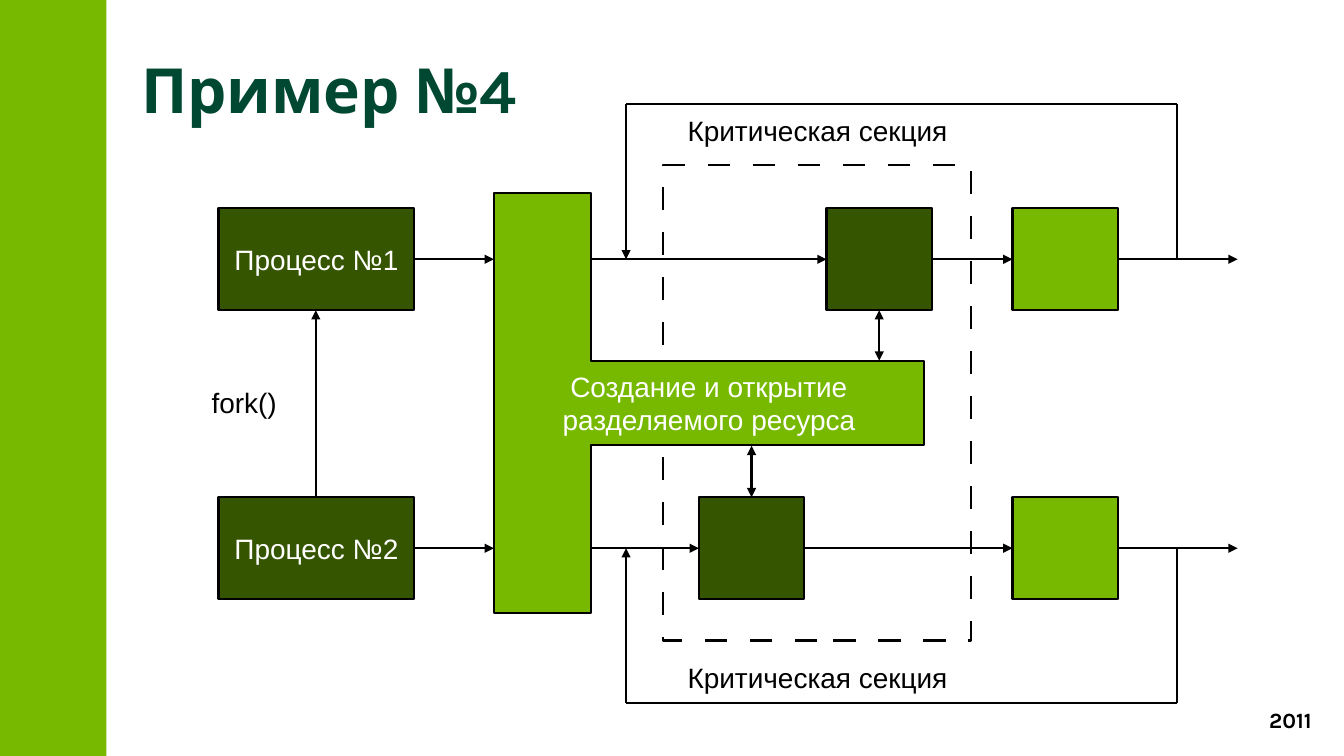
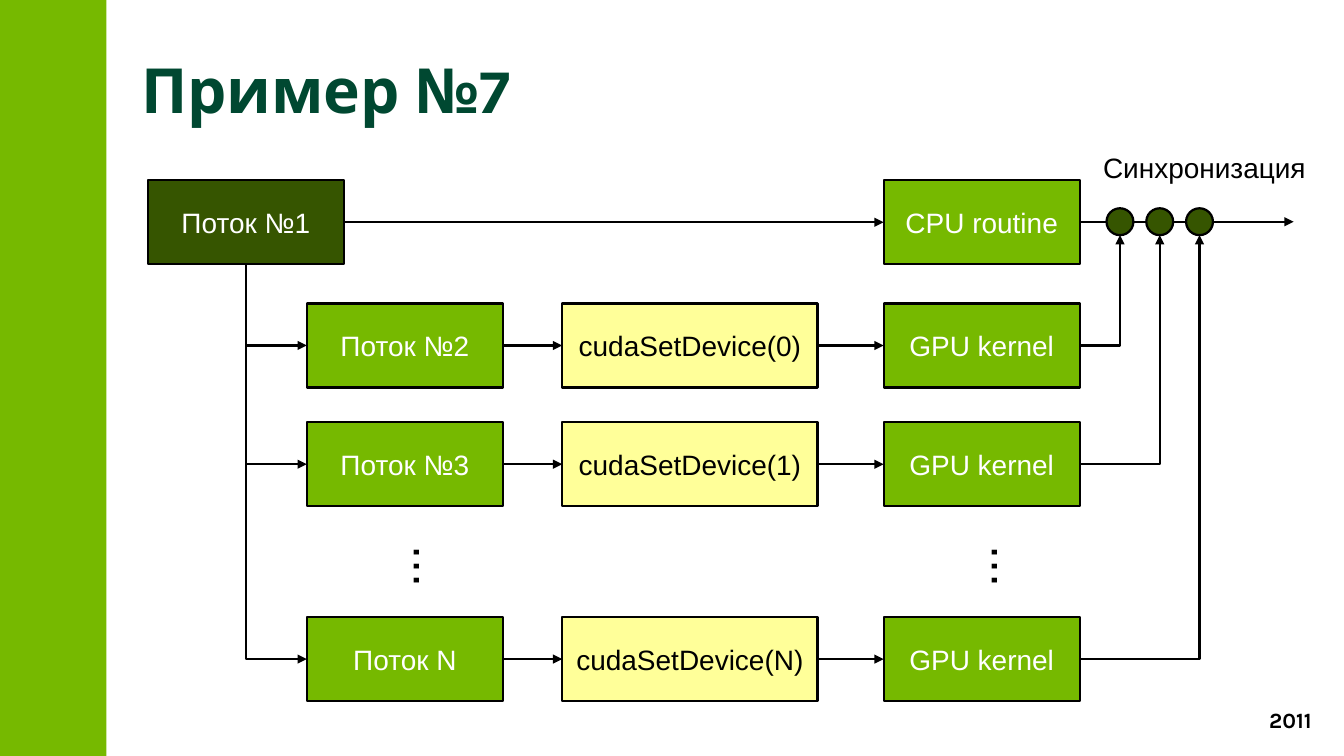
from dataclasses import dataclass

from lxml import etree
from pptx import Presentation
from pptx.dml.color import RGBColor
from pptx.enum import shapes, text
from pptx.oxml import ns
from pptx.util import Inches, Pt

GREEN = RGBColor(0x76, 0xB9, 0x00)
DARK_GREEN = RGBColor(0x36, 0x55, 0x00)
YELLOW = RGBColor(0xFF, 0xFF, 0x99)
TITLE_GREEN = RGBColor(0x00, 0x48, 0x31)
BLACK = RGBColor(0x00, 0x00, 0x00)
WHITE = RGBColor(0xFF, 0xFF, 0xFF)

TITLE_FONT = "Karla"
BODY_FONT = "Arial"
STROKE = Pt(1.45)
TOP, LEFT, BOTTOM, RIGHT = range(4)
OVAL_BOTTOM = "4"


@dataclass
class Block:
    left: float
    top: float
    width: float
    height: float
    fill: RGBColor | None = GREEN
    caption: str = ""
    ink: RGBColor = WHITE
    kind: shapes.MSO_SHAPE = shapes.MSO_SHAPE.RECTANGLE


@dataclass
class Note:
    left: float
    top: float
    width: float
    height: float
    caption: str
    size: int = 18
    font: str = BODY_FONT
    bold: bool = False
    align: text.PP_ALIGN = text.PP_ALIGN.LEFT
    wrap: bool = False
    turn: int = 0


@dataclass
class Line:
    x1: float
    y1: float
    x2: float
    y2: float
    head: bool = False
    tail: bool = True


# Shared drawing functions
def style_font(para, size: int, color: RGBColor, name: str = BODY_FONT, bold: bool = False) -> None:
    para.font.size = Pt(size)
    para.font.name = name
    para.font.bold = bold
    para.font.color.rgb = color


def style_shape(shape, fill: RGBColor | None, caption: str, ink: RGBColor) -> None:
    shape.shadow.inherit = False
    if fill is None:
        shape.fill.background()
    else:
        shape.fill.solid()
        shape.fill.fore_color.rgb = fill
    shape.line.color.rgb = BLACK
    shape.line.width = STROKE
    if not caption:
        return
    frame = shape.text_frame
    frame.text = caption
    frame.word_wrap = True
    frame.vertical_anchor = text.MSO_ANCHOR.MIDDLE
    frame.margin_left = frame.margin_right = Inches(0.11)
    frame.margin_top = frame.margin_bottom = Inches(0.06)
    for para in frame.paragraphs:
        para.alignment = text.PP_ALIGN.CENTER
        style_font(para, 18, ink)


def draw_block(page, block: Block):
    shape = page.shapes.add_shape(block.kind, Inches(block.left), Inches(block.top),
                                  Inches(block.width), Inches(block.height))
    style_shape(shape, block.fill, block.caption, block.ink)
    return shape


def draw_note(page, note: Note):
    box = page.shapes.add_textbox(Inches(note.left), Inches(note.top),
                                  Inches(note.width), Inches(note.height))
    box.rotation = note.turn
    frame = box.text_frame
    frame.word_wrap = note.wrap
    frame.auto_size = text.MSO_AUTO_SIZE.SHAPE_TO_FIT_TEXT
    frame.text = note.caption
    para = frame.paragraphs[0]
    para.alignment = note.align
    style_font(para, note.size, BLACK, note.font, note.bold)
    return box


def style_connector(link, head: bool, tail: bool) -> None:
    link.line.color.rgb = BLACK
    link.line.width = STROKE
    outline = link.line._get_or_add_ln()
    for tag, wanted in (("a:headEnd", head), ("a:tailEnd", tail)):
        if wanted:
            etree.SubElement(outline, ns.qn(tag), type="triangle")
    etree.SubElement(link._element.spPr, ns.qn("a:effectLst"))


def draw_line(page, line: Line) -> None:
    link = page.shapes.add_connector(shapes.MSO_CONNECTOR.STRAIGHT, Inches(line.x1), Inches(line.y1),
                                     Inches(line.x2), Inches(line.y2))
    style_connector(link, line.head, line.tail)


def join(page, start, start_side: int, end, end_side: int, bent: bool = False, arrow_at_start: bool = False):
    """Glue a straight or one-corner connector to two shapes."""
    kind = shapes.MSO_CONNECTOR.ELBOW if bent else shapes.MSO_CONNECTOR.STRAIGHT
    link = page.shapes.add_connector(kind, 0, 0, 0, 0)
    link.begin_connect(start, start_side)
    link.end_connect(end, end_side)
    if bent:
        link._element.spPr.find(ns.qn("a:prstGeom")).set("prst", "bentConnector2")
    style_connector(link, arrow_at_start, not arrow_at_start)
    return link


def add_page(deck, title: str):
    page = deck.slides.add_slide(deck.slide_layouts[5])
    page.shapes.title.text = title
    para = page.shapes.title.text_frame.paragraphs[0]
    para.alignment = text.PP_ALIGN.LEFT
    para.line_spacing = 0.9
    style_font(para, 40, TITLE_GREEN, TITLE_FONT, True)
    return page


def prepare_layout(layout) -> None:
    for spare in list(layout.placeholders)[1:]:
        spare._element.getparent().remove(spare._element)
    title = layout.placeholders[0]
    title.left, title.top = Inches(1.26), Inches(0.27)
    title.width, title.height = Inches(10.29), Inches(1.13)
    frame = title.text_frame
    frame.margin_left = frame.margin_right = frame.margin_top = frame.margin_bottom = 0
    frame.vertical_anchor = text.MSO_ANCHOR.MIDDLE


def move_to_layout(page, *parts) -> None:
    for place, part in enumerate(parts, start=2):
        page.slide_layout.shapes._spTree.insert(place, part._element)


def add_band_and_footer(page) -> None:
    band = draw_block(page, Block(0, 0, 0.95, 6.75))
    band.line.fill.background()
    year = draw_note(page, Note(8.4, 6.26, 3.41, 0.33, "2011", 14, TITLE_FONT, True,
                                text.PP_ALIGN.RIGHT, wrap=True))
    move_to_layout(page, band, year)


# Two processes sharing one resource
def draw_processes(page) -> None:
    rows = ((1, 1.86, 7.38, 0.93, 0.96), (2, 4.44, 6.24, 6.28, 5.85))
    loop_left, loop_right = 5.59, 10.51

    section = draw_block(page, Block(5.92, 1.47, 2.75, 4.25, None))
    dashes = etree.SubElement(section.line._get_or_add_ln(), ns.qn("a:custDash"))
    etree.SubElement(dashes, ns.qn("a:ds"), d="1000000", sp="1000000")

    for number, top, work_left, loop_y, note_top in rows:
        middle = top + 0.455
        draw_block(page, Block(1.95, top, 1.75, 0.91, DARK_GREEN, f"Процесс №{number}"))
        draw_block(page, Block(work_left, top, 0.94, 0.91, DARK_GREEN))
        draw_block(page, Block(9.04, top, 0.94, 0.91))
        draw_note(page, Note(6.04, note_top, 2.52, 0.38, "Критическая секция"))
        stops = ((3.7, 4.41), (4.41, work_left), (work_left + 0.94, 9.04), (9.98, 11.05))
        for start, end in stops:
            draw_line(page, Line(start, middle, end, middle))
        draw_line(page, Line(loop_right, middle, loop_right, loop_y, tail=False))
        draw_line(page, Line(loop_right, loop_y, loop_left, loop_y, tail=False))
        draw_line(page, Line(loop_left, loop_y, loop_left, middle))

    draw_line(page, Line(2.82, 4.44, 2.82, 2.77))
    draw_note(page, Note(1.79, 3.39, 1.22, 0.46, "fork()", wrap=True))

    # Shared resource
    corners = ((4.41, 5.47), (5.28, 5.47), (5.28, 3.97), (8.25, 3.97),
               (8.25, 3.22), (5.28, 3.22), (5.28, 1.72))
    builder = page.shapes.build_freeform(Inches(4.41), Inches(1.72), scale=1.0)
    builder.add_line_segments([(Inches(x), Inches(y)) for x, y in corners], close=True)
    style_shape(builder.convert_to_shape(), GREEN, "Создание и открытие\nразделяемого ресурса", WHITE)
    for x, top, bottom in ((7.85, 2.77, 3.22), (6.71, 3.98, 4.44)):
        draw_line(page, Line(x, top, x, bottom, head=True))


# Threads working on several devices
def draw_threads(page) -> None:
    height = 0.75
    first = draw_block(page, Block(1.32, 1.61, 1.75, height, DARK_GREEN, "Поток №1"))
    routine = draw_block(page, Block(7.89, 1.61, 1.75, height, GREEN, "CPU routine"))
    join(page, first, RIGHT, routine, LEFT)
    draw_line(page, Line(9.64, 1.98, 11.55, 1.98))

    rows = (("№2", "0", 2.71), ("№3", "1", 3.77), ("N", "N", 5.51))
    for index, (thread_name, device_name, top) in enumerate(rows):
        thread = draw_block(page, Block(2.74, top, 1.75, height, GREEN, f"Поток {thread_name}"))
        device = draw_block(page, Block(5.02, top, 2.28, height, YELLOW,
                                        f"cudaSetDevice({device_name})", BLACK))
        kernel = draw_block(page, Block(7.89, top, 1.75, height, GREEN, "GPU kernel"))
        dot = draw_block(page, Block(9.88 + 0.355 * index, 1.86, 0.24, 0.24, DARK_GREEN,
                                     kind=shapes.MSO_SHAPE.OVAL))
        join(page, thread, LEFT, first, BOTTOM, bent=True, arrow_at_start=True)
        join(page, thread, RIGHT, device, LEFT)
        join(page, device, RIGHT, kernel, LEFT)
        sync = join(page, kernel, RIGHT, dot, BOTTOM, bent=True)
        # An oval has eight connection sites, with the bottom one fifth
        sync._element.find(".//" + ns.qn("a:endCxn")).set("idx", OVAL_BOTTOM)

    for left in (3.27, 8.43):
        draw_note(page, Note(left, 4.76, 0.57, 0.6, "...", 32, turn=270))
    draw_note(page, Note(9.75, 1.29, 2.01, 0.38, "Синхронизация"))


def main() -> None:
    deck = Presentation()
    deck.slide_width, deck.slide_height = Inches(12), Inches(6.75)
    prepare_layout(deck.slide_layouts[5])

    processes = add_page(deck, "Пример №4")
    add_band_and_footer(processes)
    draw_processes(processes)
    draw_threads(add_page(deck, "Пример №7"))
    deck.save("out.pptx")


if __name__ == "__main__":
    main()
